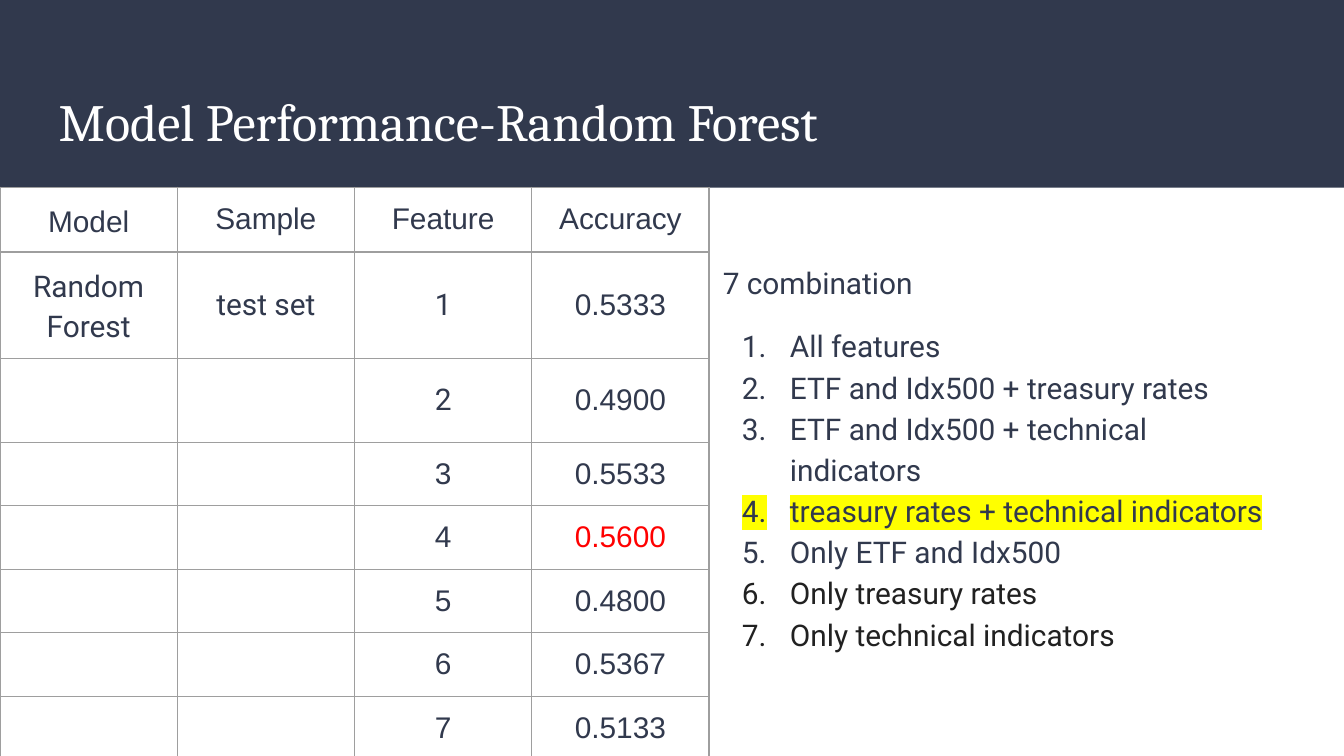
"""Build the random forest performance slide: accuracy table and feature list."""
from lxml.etree import SubElement
from pptx import Presentation
from pptx.dml.color import RGBColor
from pptx.enum.shapes import MSO_SHAPE
from pptx.enum.text import MSO_ANCHOR, MSO_AUTO_SIZE, PP_ALIGN
from pptx.oxml import parse_xml
from pptx.oxml.ns import nsdecls, qn
from pptx.util import Cm, Pt

COLOURS = {"navy": "31394D", "white": "FFFFFF", "black": "212121",
           "red": "FF0000", "yellow": "FFFF00", "grid": "9E9E9E"}
TITLE = "Model Performance-Random Forest"
HEADINGS = ["Model", "Sample", "Feature", "Accuracy"]
SUBJECT = ["Random Forest", "test set"]
ACCURACIES = ["0.5333", "0.4900", "0.5533", "0.5600", "0.4800", "0.5367", "0.5133"]
BEST = "0.5600"
LEAD = "7 combination"
COMBINATIONS = [
    ("All features", "navy", None),
    ("ETF and Idx500 + treasury rates", "navy", None),
    ("ETF and Idx500 + technical indicators", "navy", None),
    ("treasury rates + technical indicators", "navy", "yellow"),
    ("Only ETF and Idx500", "navy", None),
    ("Only treasury rates", "black", None),
    ("Only technical indicators", "black", None),
]
COLUMN_WIDTH = 3.35
ROW_HEIGHTS = [1.2, 1.98, 1.59] + [1.2] * 5
MARGINS = {f"margin_{side}": Cm(0.25) for side in ("left", "right", "top", "bottom")}


def apply(target, values):
    for name, value in values.items():
        setattr(target, name, value)


def colour(name):
    return RGBColor.from_string(COLOURS[name])


def write(para, text, font, size, ink, highlight=None):
    span = para.add_run()
    span.text = text
    apply(span.font, {"name": font, "size": Pt(size), "bold": False})
    span.font.color.rgb = colour(ink)
    if highlight:
        mark = parse_xml(f'<a:highlight {nsdecls("a")}><a:srgbClr val="{COLOURS[highlight]}"/></a:highlight>')
        span.font._element.find(qn("a:solidFill")).addnext(mark)


def place(box, left, top, width, height, anchor):
    apply(box, {"left": Cm(left), "top": Cm(top), "width": Cm(width), "height": Cm(height)})
    apply(box.text_frame, {**MARGINS, "word_wrap": True, "vertical_anchor": anchor,
                           "auto_size": MSO_AUTO_SIZE.NONE})


def set_bullet(para, ink=None):
    properties = para._p.get_or_add_pPr()
    apply_indent = {"marL": Cm(1.27), "indent": Cm(-0.91)} if ink else {"marL": 0, "indent": 0}
    for name, value in apply_indent.items():
        properties.set(name, str(int(value)))
    if not ink:
        SubElement(properties, qn("a:buNone"))
        return
    SubElement(SubElement(properties, qn("a:buClr")), qn("a:srgbClr"), val=COLOURS[ink])
    SubElement(properties, qn("a:buSzPts"), val="1600")
    SubElement(properties, qn("a:buFont"), typeface="Roboto")
    SubElement(properties, qn("a:buAutoNum"), type="arabicPeriod")


def add_banner(page):
    banner = page.shapes.add_shape(MSO_SHAPE.RECTANGLE, 0, 0, Cm(25.4), Cm(3.55))
    banner.shadow.inherit = False
    banner.fill.solid()
    banner.fill.fore_color.rgb = colour("navy")
    banner.line.fill.background()
    page.shapes._spTree.insert(2, banner._element)


def add_title(page):
    box = page.shapes.title
    place(box, 0.86, 1.4, 23.67, 1.73, MSO_ANCHOR.BOTTOM)
    para = box.text_frame.paragraphs[0]
    para.alignment = PP_ALIGN.LEFT
    write(para, TITLE, "Cambria", 28, "white")


def add_combinations(page):
    box = page.placeholders[1]
    place(box, 13.41, 4.65, 11.1, 8.53, MSO_ANCHOR.TOP)
    frame = box.text_frame
    lines = [(LEAD, "navy", None)] + COMBINATIONS
    for index, (text, ink, highlight) in enumerate(lines):
        para = frame.add_paragraph() if index else frame.paragraphs[0]
        set_bullet(para, ink if index else None)
        apply(para, {"line_spacing": 1.15, "space_before": Pt(12 if index == 1 else 0),
                     "space_after": Pt(0)})
        write(para, text, "Roboto", 16, ink, highlight)


def draw_borders(cell):
    properties = cell._tc.get_or_add_tcPr()
    for edge in ("lnL", "lnR", "lnT", "lnB"):
        line = SubElement(properties, qn(f"a:{edge}"), w=str(Pt(0.75)))
        SubElement(SubElement(line, qn("a:solidFill")), qn("a:srgbClr"), val=COLOURS["grid"])


def add_results(page):
    rows = [HEADINGS]
    for number, accuracy in enumerate(ACCURACIES, 1):
        rows.append((SUBJECT if number == 1 else ["", ""]) + [str(number), accuracy])
    table = page.shapes.add_table(len(rows), len(HEADINGS), 0, Cm(3.54),
                                  Cm(COLUMN_WIDTH * len(HEADINGS)), Cm(sum(ROW_HEIGHTS))).table
    apply(table, {"first_row": False, "horz_banding": False})
    for column in table.columns:
        column.width = Cm(COLUMN_WIDTH)
    for r, (texts, height) in enumerate(zip(rows, ROW_HEIGHTS)):
        table.rows[r].height = Cm(height)
        for c, text in enumerate(texts):
            cell = table.cell(r, c)
            apply(cell, {**MARGINS, "vertical_anchor": MSO_ANCHOR.MIDDLE})
            draw_borders(cell)
            cell.fill.background()
            para = cell.text_frame.paragraphs[0]
            para.alignment = PP_ALIGN.CENTER
            if not text:
                SubElement(para._p, qn("a:endParaRPr"), sz="1400")
                continue
            if c == 0:
                apply(para, {"line_spacing": 1.15, "space_after": Pt(12)})
            roboto = r in (1, 2) and c < 3
            write(para, text, "Roboto" if roboto else "Arial", 16,
                  "red" if text == BEST else "navy")


def main():
    deck = Presentation()
    apply(deck, {"slide_width": Cm(25.4), "slide_height": Cm(14.29)})
    page = deck.slides.add_slide(deck.slide_layouts[1])
    add_banner(page)
    add_combinations(page)
    add_title(page)
    add_results(page)
    deck.save("out.pptx")


if __name__ == "__main__":
    main()
